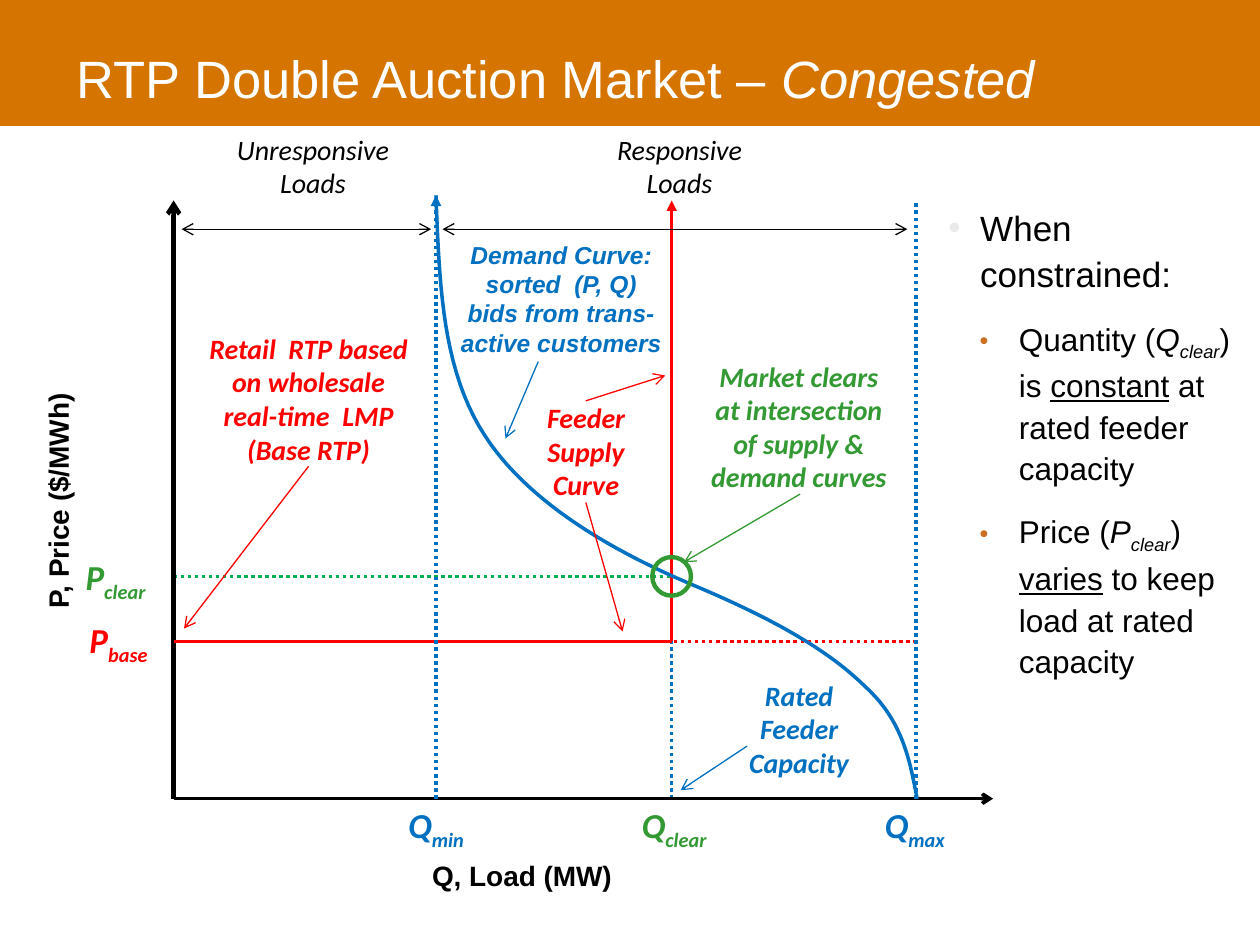
from lxml import etree
from pptx import Presentation
from pptx.dml.color import RGBColor
from pptx.enum.dml import MSO_LINE
from pptx.enum.shapes import MSO_CONNECTOR, MSO_SHAPE
from pptx.enum.text import MSO_ANCHOR, MSO_AUTO_SIZE, PP_ALIGN
from pptx.oxml.ns import qn
from pptx.util import Cm, Pt

STRAIGHT = MSO_CONNECTOR.STRAIGHT
RECTANGLE, OVAL = MSO_SHAPE.RECTANGLE, MSO_SHAPE.OVAL
DOTTED = MSO_LINE.ROUND_DOT
TOP = MSO_ANCHOR.TOP
NO_FIT = MSO_AUTO_SIZE.NONE
LEFT, CENTER = PP_ALIGN.LEFT, PP_ALIGN.CENTER

COLORS = {
    "band": "D57500", "white": "FFFFFF", "black": "000000",
    "red": "FF0000", "blue": "0070C0", "green": "339933",
    "price": "00B050", "pale": "EAEAEA", "rust": "CB7023",
}

AXIS_X, Q_MIN, Q_CLEAR, Q_MAX = 3.5, 8.79, 13.54, 18.47
AXIS_Y, P_BASE, P_CLEAR = 16.1, 12.93, 11.62
AXIS_TOP, DEMAND_TOP, SPAN_Y = 4.04, 3.94, 4.62

DEMAND_START = (Q_MIN, DEMAND_TOP)
DEMAND_CURVES = [
    ((8.86, 5.79), (8.92, 7.47), (9.78, 8.79)),
    ((10.62, 10.08), (12.22, 11.05), (13.89, 11.76)),
    ((15.54, 12.45), (16.66, 13.08), (17.42, 13.82)),
    ((18.21, 14.53), (18.34, 15.34), (18.49, AXIS_Y)),
]


def color(name):
    return RGBColor.from_string(COLORS[name])


def curve_points(start, curves, steps=20):
    points = [start]
    for controls in curves:
        corners = (points[-1], *controls)
        for step in range(1, steps + 1):
            t = step / steps
            weights = ((1 - t) ** 3, 3 * t * (1 - t) ** 2, 3 * t * t * (1 - t), t ** 3)
            points.append(tuple(sum(w * c[axis] for w, c in zip(weights, corners))
                                for axis in (0, 1)))
    return points


class MarketSlide:
    heading_font = "Arial"
    label_font = "Calibri"

    def __init__(self, deck):
        self.page = deck.slides.add_slide(deck.slide_layouts[1])
        self.shapes = self.page.shapes

    def place(self, shape, left, top, width, height):
        shape.left, shape.top, shape.width, shape.height = map(Cm, (left, top, width, height))

    def frame(self, shape, margins=(0, 0)):
        frame = shape.text_frame
        frame.word_wrap = True
        frame.auto_size = NO_FIT
        frame.vertical_anchor = TOP
        frame.margin_left = frame.margin_right = Cm(margins[0])
        frame.margin_top = frame.margin_bottom = Cm(margins[1])
        return frame

    def font(self, para, name, size, ink, bold=False, italic=False):
        font = para.font
        font.name, font.size = name, Pt(size)
        font.bold, font.italic = bold, italic
        font.color.rgb = color(ink)

    def spans(self, para, parts):
        for text, style in parts:
            span = para.add_run()
            span.text = text
            if "i" in style:
                span.font.italic = True
            if "u" in style:
                span.font.underline = True
            if "s" in style:
                span._r.get_or_add_rPr().set("baseline", "-25000")

    def band(self, height):
        band = self.shapes.add_shape(RECTANGLE, 0, 0, Cm(25.4), Cm(height))
        band.shadow.inherit = False
        band.fill.solid()
        band.fill.fore_color.rgb = color("band")
        band.line.fill.background()
        band._element.getparent().insert(2, band._element)

    def title(self, parts):
        box = self.shapes.title
        self.place(box, 1.55, 1.12, 21.26, 1.42)
        para = self.frame(box).paragraphs[0]
        para.alignment, para.line_spacing = LEFT, 0.85
        self.font(para, self.heading_font, 30, "white")
        self.spans(para, parts)

    def bullets(self, items):
        box = self.page.placeholders[1]
        self.place(box, 18.87, 3.94, 6.53, 8.53)
        frame = self.frame(box, (0.25, 0.13))
        for index, (level, parts) in enumerate(items):
            para = frame.add_paragraph() if index else frame.paragraphs[0]
            para.level, para.alignment, para.line_spacing = level, LEFT, 1.1
            para.space_before = Pt(12 if index else 0)
            margin, hang, size, ink = ((0.64, 0.64, 20, "pale"), (1.42, 0.79, 18, "rust"))[level]
            props = para._p.get_or_add_pPr()
            props.set("marL", str(Cm(margin)))
            props.set("indent", str(-Cm(hang)))
            tint = etree.SubElement(props, qn("a:buClr"))
            etree.SubElement(tint, qn("a:srgbClr"), val=COLORS[ink])
            if level:
                etree.SubElement(props, qn("a:buSzPct"), val="80000")
            etree.SubElement(props, qn("a:buFont"), typeface="Arial")
            etree.SubElement(props, qn("a:buChar"), char="•")
            self.font(para, self.heading_font, size, "black")
            if isinstance(parts, str):
                para.text = parts
            else:
                self.spans(para, parts)

    def label(self, lines, at, ink, size=16, name=label_font, bold=True, italic=True,
              sub="", fill=None, turn=0):
        box = self.shapes.add_textbox(*map(Cm, at))
        box.rotation = turn
        if fill:
            box.fill.solid()
            box.fill.fore_color.rgb = color(fill)
        frame = self.frame(box)
        frame.text = lines
        for para in frame.paragraphs:
            para.alignment = CENTER
            self.font(para, name, size, ink, bold, italic)
        if sub:
            self.spans(frame.paragraphs[0], [(sub, "s")])

    def line(self, start, end, ink, width=0.75, dash=None, head=None, tail=None):
        line = self.shapes.add_connector(STRAIGHT, *map(Cm, (*start, *end)))
        line.line.color.rgb = color(ink)
        line.line.width = Pt(width)
        if dash:
            line.line.dash_style = dash
        for tag, kind in (("a:headEnd", head), ("a:tailEnd", tail)):
            if kind:
                etree.SubElement(line.get_or_add_ln(), qn(tag), type=kind)
        etree.SubElement(line._element.spPr, qn("a:effectLst"))

    def outline(self, shape, ink, width):
        shape.shadow.inherit = False
        shape.fill.background()
        shape.line.color.rgb = color(ink)
        shape.line.width = Pt(width)

    def curve(self, points, ink, width):
        first, *rest = [(Cm(x), Cm(y)) for x, y in points]
        builder = self.shapes.build_freeform(*first)
        builder.add_line_segments(rest, close=False)
        self.outline(builder.convert_to_shape(), ink, width)

    def ring(self, x, y, radius, ink, width):
        box = map(Cm, (x - radius, y - radius, 2 * radius, 2 * radius))
        self.outline(self.shapes.add_shape(OVAL, *box), ink, width)


def main():
    deck = Presentation()
    deck.slide_width, deck.slide_height = Cm(25.4), Cm(19.05)
    market = MarketSlide(deck)
    market.band(2.54)
    market.title([("RTP Double Auction Market – ", ""), ("Congested", "i")])
    market.bullets([
        (0, "When \vconstrained:"),
        (1, [("Quantity (", ""), ("Q", "i"), ("clear", "is"), (") is ", ""),
             ("constant", "u"), (" at rated feeder capacity", "")]),
        (1, [("Price (", ""), ("P", "i"), ("clear", "is"), (") ", ""),
             ("varies", "u"), (" to keep load at rated capacity", "")]),
    ])

    origin = (AXIS_X, AXIS_Y)
    market.line((AXIS_X, P_CLEAR), (Q_CLEAR, P_CLEAR), "price", 2, DOTTED)
    market.line((AXIS_X, P_BASE), (Q_MAX, P_BASE), "red", 2, DOTTED)
    market.line((Q_CLEAR, AXIS_Y), (Q_CLEAR, 4.83), "blue", 2, DOTTED)
    market.line((Q_CLEAR, P_BASE), (Q_CLEAR, AXIS_TOP), "red", 2, tail="triangle")
    market.line(origin, (20.02, AXIS_Y), "black", 2, tail="arrow")
    market.line(origin, (AXIS_X, AXIS_TOP), "black", 2.5, tail="arrow")
    market.curve(curve_points(DEMAND_START, DEMAND_CURVES), "blue", 2)
    market.ring(Q_CLEAR, P_CLEAR, 0.39, "green", 2.5)
    market.line((AXIS_X, P_BASE), (Q_CLEAR, P_BASE), "red", 2)
    market.line((Q_MAX, AXIS_Y), (Q_MAX, AXIS_TOP), "blue", 2, DOTTED)
    market.line((Q_MIN, AXIS_Y), (Q_MIN, DEMAND_TOP), "blue", 2, DOTTED, tail="triangle")
    for left, right in ((3.66, 8.69), (8.92, 18.29)):
        market.line((left, SPAN_Y), (right, SPAN_Y), "black", head="arrow", tail="arrow")

    for text, left in (("Unresponsive\nLoads", 4.19), ("Responsive\nLoads", 11.58)):
        market.label(text, (left, 2.67, 4.24, 1.37), "black", bold=False)
    axis_style = dict(name=market.heading_font, italic=False)
    market.label("Q, Load (MW)", (8.43, 17.3, 4.19, 0.69), "black", **axis_style)
    market.label("P, Price ($/MWh)", (-1.04, 9.75, 4.42, 0.69), "black", turn=270, **axis_style)
    market.label("Demand Curve: sorted  (P, Q) bids from trans-active customers",
                 (9.27, 4.83, 4.09, 2.39), "blue", 14, market.heading_font, fill="white")
    for text, at, ink in (
        ("Retail  RTP based on wholesale real-time  LMP (Base RTP)", (4.19, 6.68, 4.06, 2.74), "red"),
        ("Feeder Supply Curve", (10.62, 8.08, 2.39, 2.06), "red"),
        ("Market clears at intersection of supply & demand curves", (14.3, 7.24, 3.61, 2.74), "green"),
        ("Rated Feeder Capacity", (14.86, 13.67, 2.5, 2.06), "blue"),
    ):
        market.label(text, at, ink)
    for letter, sub, left, top, ink in (
        ("P", "clear", 1.24, 11.2, "green"), ("P", "base", 1.3, 12.47, "red"),
        ("Q", "min", 7.7, 16.2, "blue"), ("Q", "clear", 12.5, 16.2, "green"),
        ("Q", "max", 17.35, 16.2, "blue"),
    ):
        market.label(letter, (left, top, 2.18, 0.86), ink, 20, sub=sub)

    for start, end, ink in (
        ((10.85, 7.29), (10.19, 8.84), "blue"), ((6.22, 9.4), (3.71, 12.67), "red"),
        ((15.06, 15.04), (13.72, 15.93), "blue"), ((11.81, 10.13), (12.55, 12.73), "red"),
        ((11.81, 8.08), (13.41, 7.57), "red"), ((16.13, 9.96), (13.79, 11.33), "green"),
    ):
        market.line(start, end, ink, tail="arrow")
    deck.save("out.pptx")


if __name__ == "__main__":
    main()
